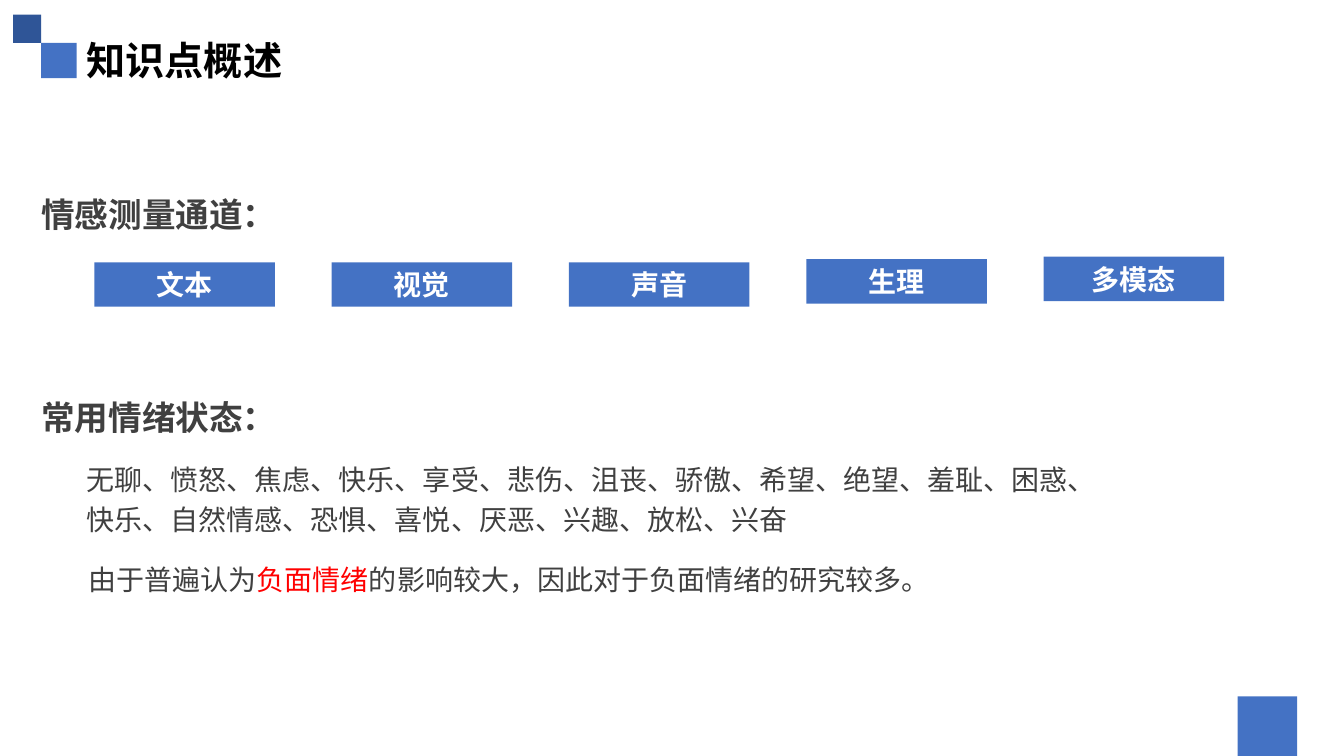
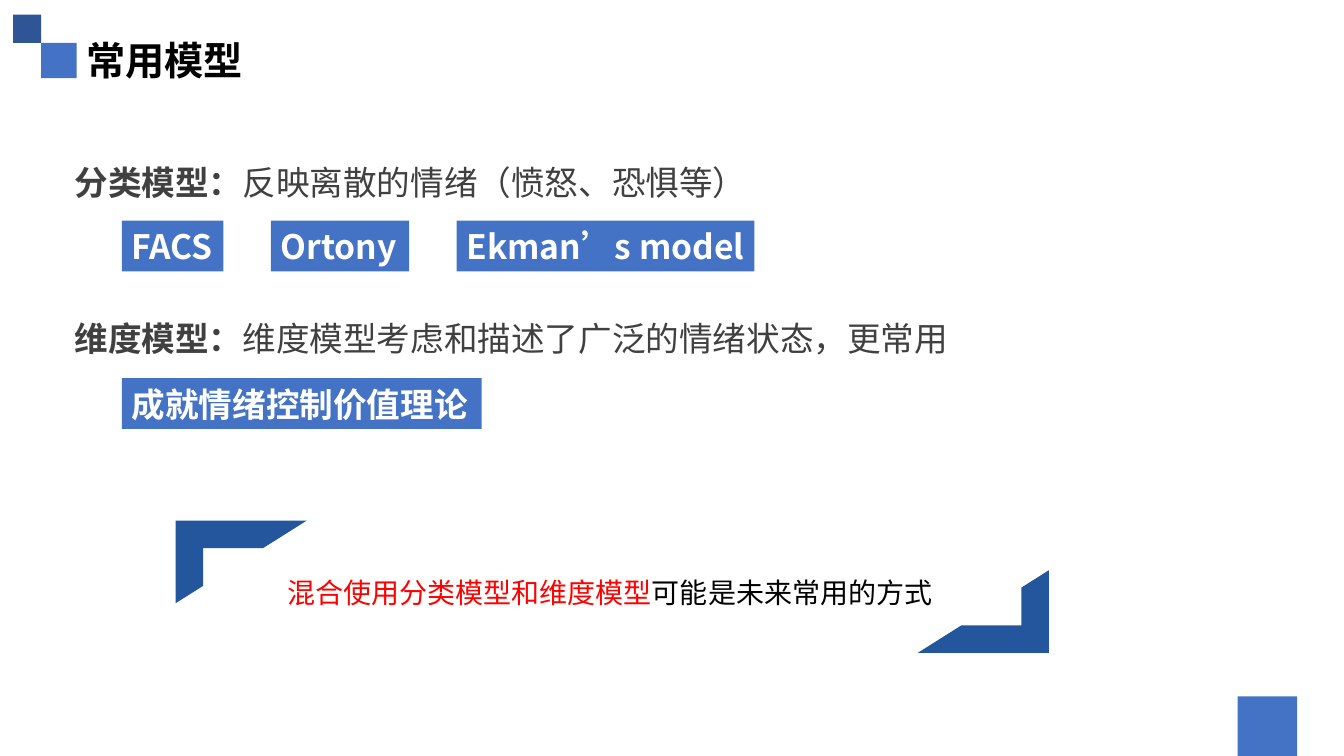
from lxml import etree
from pptx import Presentation
from pptx import util as u
from pptx.dml.color import RGBColor
from pptx.enum import shapes, text
from pptx.oxml.ns import qn

FONT = "Noto Sans CJK SC"
COLORS = {
    "blue": "4472C4",
    "navy": "2F5597",
    "frame": "24569D",
    "grey": "404040",
    "red": "FF0000",
    "black": "000000",
    "white": "FFFFFF",
}
RECTANGLE = shapes.MSO_SHAPE.RECTANGLE
HALF_FRAME = shapes.MSO_SHAPE.HALF_FRAME
MIDDLE = text.MSO_ANCHOR.MIDDLE


def rgb(name):
    return RGBColor.from_string(COLORS[name])


def place(left, top, width, height):
    return [u.Cm(length) for length in (left, top, width, height)]


# Text
def write(box, spans, size=24, color="grey", bold=False, spacing=None,
          align=text.PP_ALIGN.LEFT, anchor=text.MSO_ANCHOR.TOP, wrap=True):
    """Fill a box with one paragraph; a span is a string or (string, changes)."""
    frame = box.text_frame
    frame.word_wrap = wrap
    frame.vertical_anchor = anchor
    para = frame.paragraphs[0]
    para.alignment = align
    if spacing:
        para.line_spacing = spacing
    for span in [spans] if isinstance(spans, str) else spans:
        words, changes = (span, {}) if isinstance(span, str) else span
        run = para.add_run()
        run.text = words
        run.font.size = u.Pt(size)
        run.font.bold = changes.get("bold", bold)
        run.font.color.rgb = rgb(changes.get("color", color))
        run.font.name = FONT
        east_asian = etree.SubElement(run.font._element, qn("a:ea"))
        east_asian.set("typeface", FONT)


def add_text(page, spans, left, top, width, height, **style):
    box = page.shapes.add_textbox(*place(left, top, width, height))
    write(box, spans, **{"spacing": 1.2, **style})


def add_title(page, words):
    add_text(page, words, 1.93, 0.87, 30, 1.45, size=28, color="black",
             bold=True, spacing=0.9, anchor=MIDDLE)


# Shapes
def add_block(page, left, top, width, height, color="blue", kind=RECTANGLE):
    block = page.shapes.add_shape(kind, *place(left, top, width, height))
    block.shadow.inherit = False
    block.fill.solid()
    block.fill.fore_color.rgb = rgb(color)
    block.line.fill.background()
    return block


def add_label(page, words, left, top, width, height, **style):
    label = add_block(page, left, top, width, height)
    write(label, words, color="white", bold=True, anchor=MIDDLE, **style)


def add_model(page, name, left, top, width):
    add_label(page, name, left, top, width, 1.28, wrap=False)


def decorate(layout, page):
    """Draw the shared squares and hand them to the layout."""
    for holder in list(layout.placeholders):
        layout.shapes.element.remove(holder.element)
    for left, top, side, color in [(1.04, 1.08, 0.89, "blue"),
                                   (0.33, 0.37, 0.71, "navy"),
                                   (31.19, 17.55, 1.5, "blue")]:
        square = add_block(page, left, top, side, side, color)
        layout.shapes.element.append(square.element)


# Slides
def build_overview(page):
    add_title(page, "知识点概述")

    # Measuring channels
    add_text(page, "情感测量通道：", 0.79, 4.57, 25.98, 1.37, bold=True)
    channels = [("文本", 6.61), ("视觉", 6.61), ("声音", 6.61),
                ("生理", 6.53), ("多模态", 6.47)]
    for index, (name, top) in enumerate(channels):
        add_label(page, name, 2.38 + 5.98 * index, top, 4.55, 1.12,
                  size=20, align=text.PP_ALIGN.CENTER)

    # Emotional states
    add_text(page, "常用情绪状态：", 0.79, 9.68, 25.98, 1.37, bold=True)
    add_text(page, "无聊、愤怒、焦虑、快乐、享受、悲伤、沮丧、骄傲、希望、绝望、"
                   "羞耻、困惑、快乐、自然情感、恐惧、喜悦、厌恶、兴趣、放松、兴奋",
             1.93, 11.36, 25.98, 2.21, size=20)
    add_text(page, ["由于普遍认为", ("负面情绪", {"color": "red"}),
                    "的影响较大，因此对于负面情绪的研究较多。"],
             1.98, 13.89, 25.98, 1.19, size=20)


def build_models(page):
    add_title(page, "常用模型")

    # Categorical models
    add_text(page, [("分类模型：", {"bold": True}),
                    "反映离散的情绪（愤怒、恐惧等）"],
             1.63, 3.75, 25.98, 1.37)
    left, gap = 3.07, 1.2
    for name, width in [("FACS", 2.56), ("Ortony", 3.48),
                        ("Ekman’s model", 7.5)]:
        add_model(page, name, left, 5.56, width)
        left += width + gap

    # Dimensional models
    add_text(page, [("维度模型：", {"bold": True}),
                    "维度模型考虑和描述了广泛的情绪状态，更常用"],
             1.63, 7.69, 28.22, 2.24)
    add_model(page, "成就情绪控制价值理论", 3.07, 9.53, 9.07)

    # Framed conclusion
    for left, top, turn in [(4.43, 13.12, 0), (23.13, 14.37, 180)]:
        corner = add_block(page, left, top, 3.3, 2.08, "frame", HALF_FRAME)
        corner.rotation = turn
    add_text(page, [("混合使用分类模型和维度模型", {"color": "red"}),
                    "可能是未来常用的方式"],
             6.99, 14.17, 20.88, 1.24, size=20, color="black", spacing=1.25)


def main():
    deck = Presentation()
    deck.slide_width, deck.slide_height = u.Cm(33.87), u.Cm(19.05)
    blank = deck.slide_layouts[6]
    overview, models = [deck.slides.add_slide(blank) for _ in range(2)]
    decorate(blank, overview)
    build_overview(overview)
    build_models(models)
    deck.save("out.pptx")


main()
